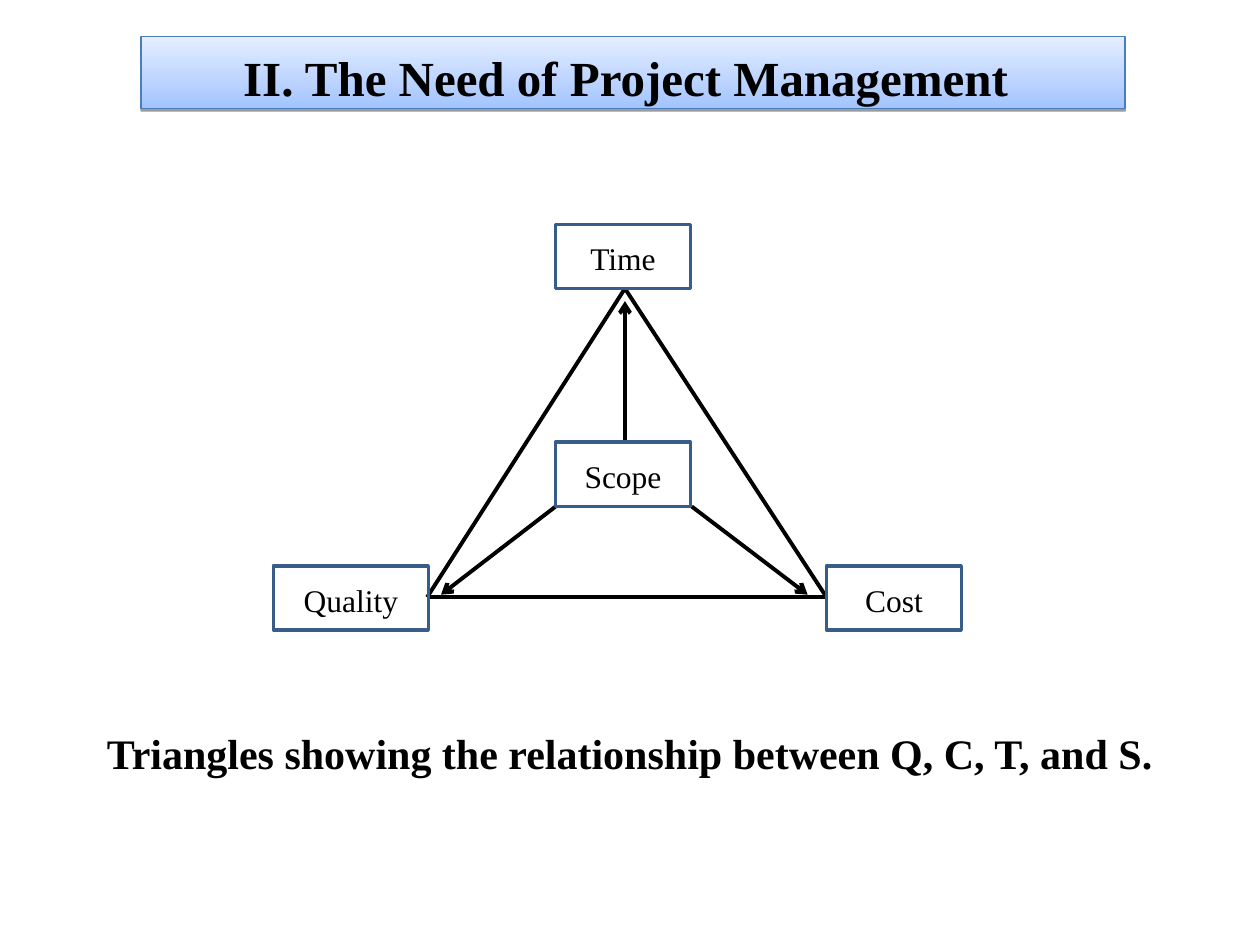
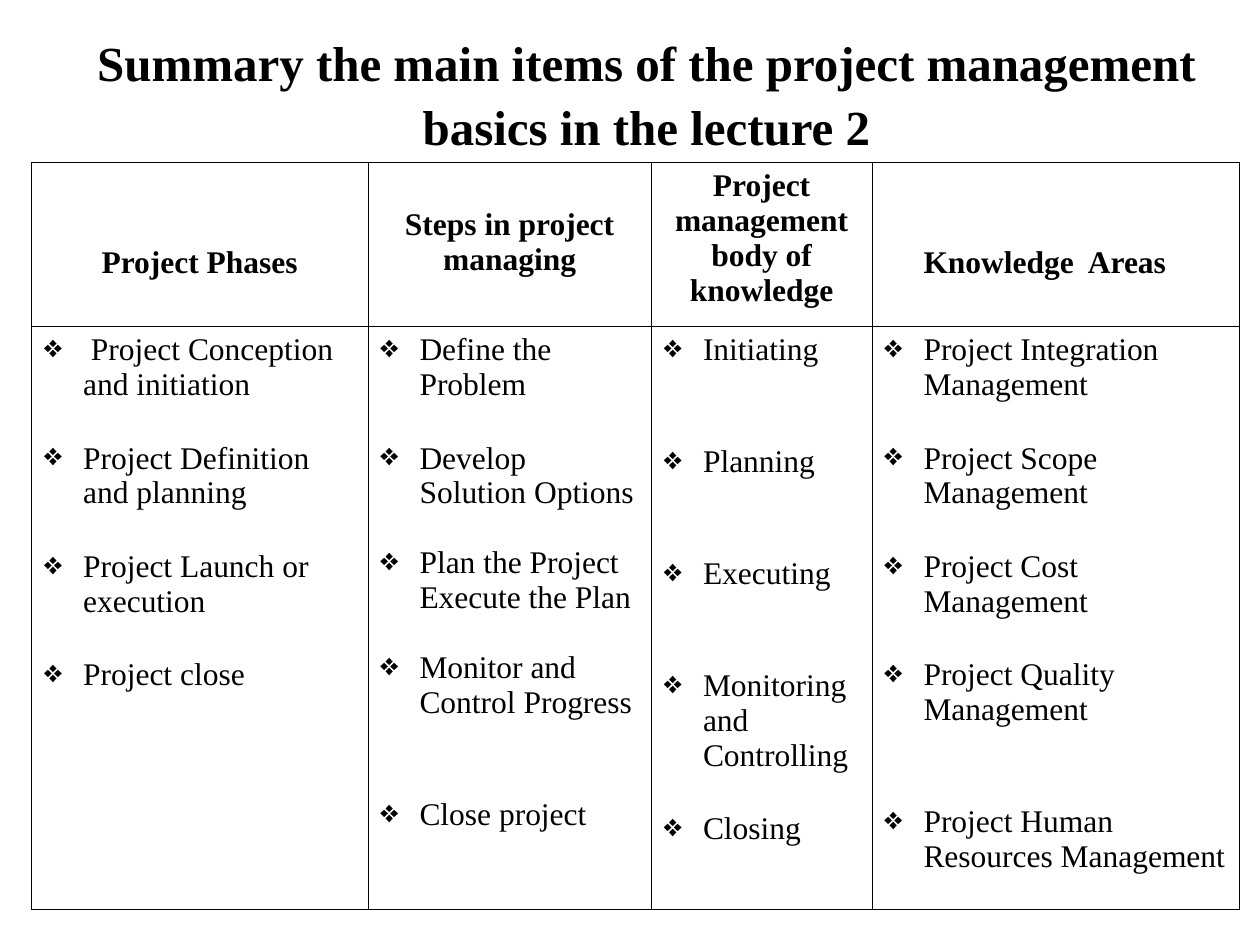
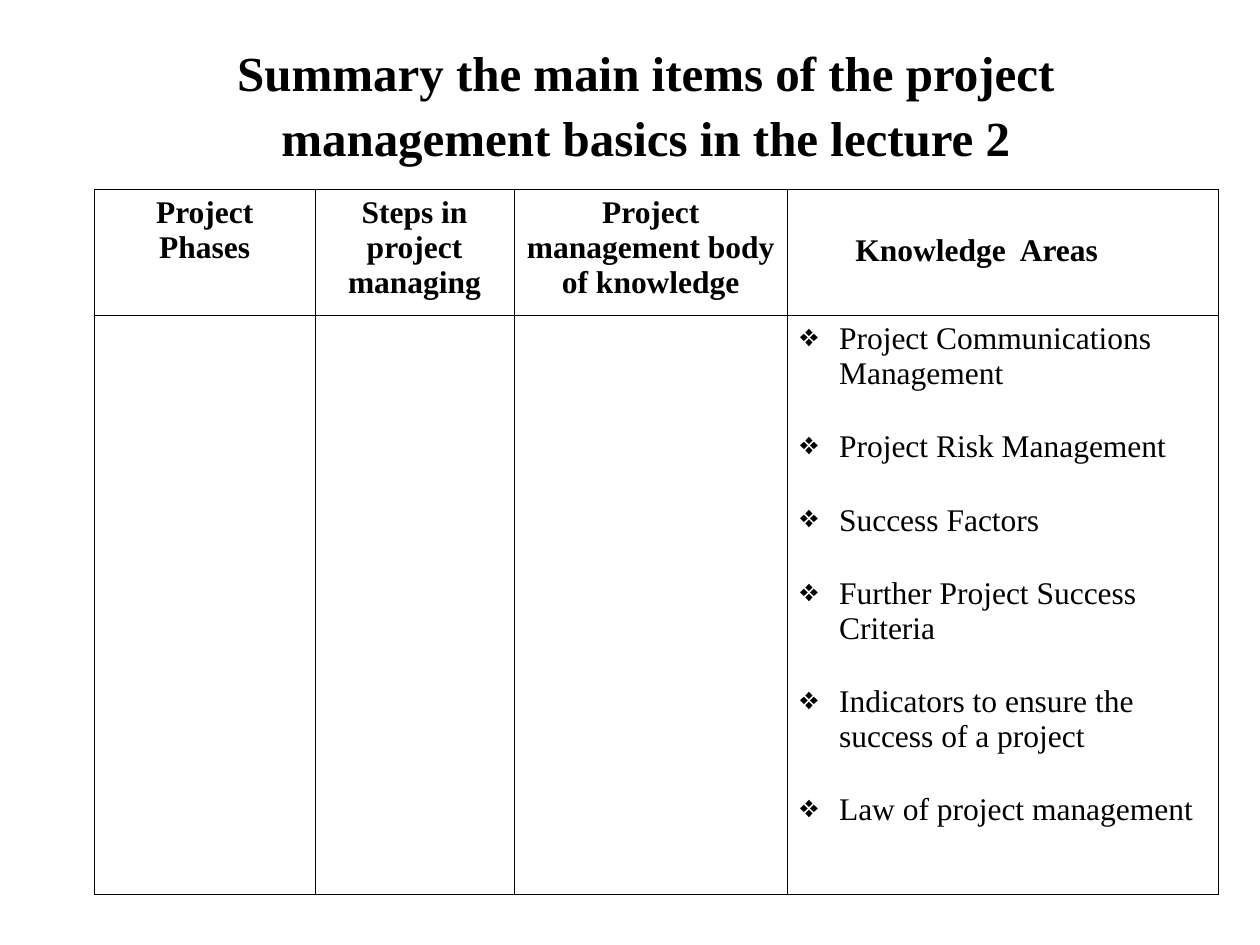
from lxml import etree
from pptx import Presentation
from pptx import util as u
from pptx.dml.color import RGBColor
from pptx.enum import shapes, text
from pptx.oxml import ns

FONT = "Times New Roman"
COLORS = {
    "ink": "000000",
    "box_line": "385D8A",
    "banner_line": "4A7EBB",
    "banner_bottom": "A3C4FF",
    "banner_top": "E5EEFF",
}
TITLE_SIZE, CAPTION_SIZE, BODY_SIZE = 28, 24, 18
BOX_SPACING = 1.09
INSET, BULLET_INDENT, HEADER_STEP = 0.1, 0.31, 0.305
GAP, TIGHT_GAP = 22, 20
SUMMARY_TITLE = "Summary the main items of the project management basics in the lecture 2"
HEADERS = ["Project Phases", "Steps in project managing",
           "Project management body of knowledge", "Knowledge  Areas"]

PHASES = [(" Project Conception and initiation", 0), ("Project Definition and planning", GAP),
          ("Project Launch or execution", GAP), ("Project close", GAP)]
STEPS = [("Define the Problem", 0), ("Develop Solution Options", GAP),
         ("Plan the Project Execute the Plan", TIGHT_GAP),
         ("Monitor and Control Progress", TIGHT_GAP), ("Close project", 2 * GAP)]
PROCESSES = [("Initiating", 0), ("Planning", 2 * GAP), ("Executing", 2 * GAP),
             ("Monitoring and Controlling", 2 * GAP), ("Closing", GAP)]
AREAS = [("Project Integration Management", 0), ("Project Scope Management", GAP),
         ("Project Cost Management", GAP), ("Project Quality Management", GAP),
         ("Project Human Resources Management", 2 * GAP)]
MORE_AREAS = [("Project Communications Management", 0), ("Project Risk Management", GAP),
              ("Success Factors", GAP), ("Further Project Success Criteria", GAP),
              ("Indicators to ensure the success of a project", GAP),
              ("Law of project management", GAP)]


def color(name):
    return RGBColor.from_string(COLORS[name])


def add_xml(parent, tag, **attributes):
    return etree.SubElement(parent, ns.qn(tag), attributes)


def add_color(parent, name):
    return add_xml(parent, "a:srgbClr", val=COLORS[name])


def style_paragraph(paragraph, size, bold=False, align=text.PP_ALIGN.CENTER):
    paragraph.alignment = align
    for span in paragraph.runs:
        span.font.name = FONT
        span.font.size = u.Pt(size)
        span.font.bold = bold
        span.font.color.rgb = color("ink")


def write_box(box, words, size, bold=False, align=text.PP_ALIGN.CENTER):
    frame = box.text_frame
    frame.word_wrap = True
    frame.text = words
    para = frame.paragraphs[0]
    para.line_spacing = BOX_SPACING
    style_paragraph(para, size, bold, align)


def add_text(page, area, words, size, align=text.PP_ALIGN.CENTER):
    box = page.shapes.add_textbox(*map(u.Inches, area))
    write_box(box, words, size, True, align)


def add_banner(page, words):
    area = map(u.Inches, (1.12, 0.29, 7.81, 0.57))
    banner = page.shapes.add_shape(shapes.MSO_SHAPE.RECTANGLE, *area)
    banner.fill.gradient()
    banner.fill.gradient_angle = 90
    for stop, name in zip(banner.fill.gradient_stops, ("banner_bottom", "banner_top")):
        stop.color.rgb = color(name)
    banner.line.color.rgb = color("banner_line")
    banner.line.width = u.Pt(0.74)
    banner.shadow.inherit = False
    effects = banner.element.spPr.find(ns.qn("a:effectLst"))
    shadow = add_xml(effects, "a:outerShdw", blurRad="0", dist=str(u.Pt(1.6)),
                     dir="5400000", rotWithShape="0")
    add_xml(add_color(shadow, "ink"), "a:alpha", val="38000")
    banner.text_frame.vertical_anchor = text.MSO_ANCHOR.TOP
    banner.text_frame.margin_right = u.Inches(0.22)
    write_box(banner, words, TITLE_SIZE, True)


def add_line(group, start, end, arrow=False):
    line = group.shapes.add_connector(shapes.MSO_CONNECTOR.STRAIGHT,
                                      *map(u.Inches, start + end))
    line.line.color.rgb = color("ink")
    line.line.width = u.Pt(2.24)
    if arrow:
        add_xml(line.line._get_or_add_ln(), "a:tailEnd", type="arrow")
    add_xml(line.element.spPr, "a:effectLst")


def add_label(group, left, top, width, words):
    box = group.shapes.add_shape(shapes.MSO_SHAPE.RECTANGLE,
                                 *map(u.Inches, (left, top, width, 0.51)))
    box.shadow.inherit = False
    box.fill.background()
    box.line.color.rgb = color("box_line")
    box.line.width = u.Pt(2)
    box.text_frame.vertical_anchor = text.MSO_ANCHOR.MIDDLE
    write_box(box, words, BODY_SIZE)


def add_triangle(page):
    group = page.shapes.add_group_shape()
    time, quality, cost = (4.96, 2.29), (3.39, 4.74), (6.56, 4.74)
    for start, end in ((quality, time), (time, cost), (quality, cost)):
        add_line(group, start, end)
    for start, end in (((4.41, 4.02), (3.5, 4.72)), ((4.96, 3.52), (4.96, 2.39)),
                       ((5.49, 4.02), (6.41, 4.72))):
        add_line(group, start, end, arrow=True)
    for label in ((4.41, 1.78, 1.07, "Time"), (4.41, 3.51, 1.07, "Scope"),
                  (2.17, 4.49, 1.23, "Quality"), (6.56, 4.49, 1.07, "Cost")):
        add_label(group, *label)


def style_cell(cell):
    properties = cell._tc.get_or_add_tcPr()
    for side in ("a:lnL", "a:lnR", "a:lnT", "a:lnB"):
        border = add_xml(properties, side, w=str(u.Pt(0.45)))
        add_color(add_xml(border, "a:solidFill"), "ink")
    cell.fill.background()


def write_header(cell, words, lines_down, indent):
    cell.text = words
    cell.margin_top = u.Inches(0.05 + lines_down * HEADER_STEP)
    cell.margin_left = u.Inches(INSET + indent)
    align = text.PP_ALIGN.LEFT if indent else text.PP_ALIGN.CENTER
    style_paragraph(cell.text_frame.paragraphs[0], BODY_SIZE, True, align)


def write_bullets(cell, items):
    cell.text = "\n".join(words for words, gap in items)
    indent = u.Inches(BULLET_INDENT)
    for para, (words, gap) in zip(cell.text_frame.paragraphs, items):
        style_paragraph(para, BODY_SIZE, align=text.PP_ALIGN.LEFT)
        para.space_before = u.Pt(gap)
        properties = para._p.get_or_add_pPr()
        properties.set("marL", str(indent))
        properties.set("indent", str(-indent))
        add_color(add_xml(properties, "a:buClr"), "ink")
        add_xml(properties, "a:buChar", char="\u2756")


def add_summary(page, left, top, widths, heights, lines_down, area_indent, columns):
    area = map(u.Inches, (left, top, sum(widths), sum(heights)))
    table = page.shapes.add_table(2, len(widths), *area).table
    table.first_row = table.horz_banding = False
    for row, height in zip(table.rows, heights):
        row.height = u.Inches(height)
    for column, width in zip(table.columns, widths):
        column.width = u.Inches(width)
    for cell in table.iter_cells():
        style_cell(cell)
    indents = (0, 0, 0, area_indent)
    for index, header in enumerate(HEADERS):
        write_header(table.cell(0, index), header, lines_down[index], indents[index])
        if columns[index]:
            write_bullets(table.cell(1, index), columns[index])


def main():
    deck = Presentation()
    deck.slide_width, deck.slide_height = u.Inches(10), u.Inches(7.5)
    triangle, summary, continued = [deck.slides.add_slide(deck.slide_layouts[6])
                                    for _ in range(3)]

    add_banner(triangle, "II. The Need of Project Management")
    add_text(triangle, (0.75, 5.69, 8.75, 0.9),
             "Triangles showing the relationship between Q, C, T, and S.",
             CAPTION_SIZE, text.PP_ALIGN.LEFT)
    add_triangle(triangle)

    add_text(summary, (0.42, 0.17, 9.42, 2.24), SUMMARY_TITLE, TITLE_SIZE)
    add_summary(summary, 0.25, 1.29, (2.67, 2.25, 1.75, 2.92), (1.3, 4.6),
                (2, 1, 0, 2), 0.31, (PHASES, STEPS, PROCESSES, AREAS))

    add_text(continued, (1, 0.25, 8.25, 1.5), SUMMARY_TITLE, TITLE_SIZE)
    add_summary(continued, 0.75, 1.5, (1.75, 1.58, 2.17, 3.42), (1, 4.6),
                (0, 0, 0, 1), 0.44, ([], [], [], MORE_AREAS))

    deck.save("out.pptx")


main()
